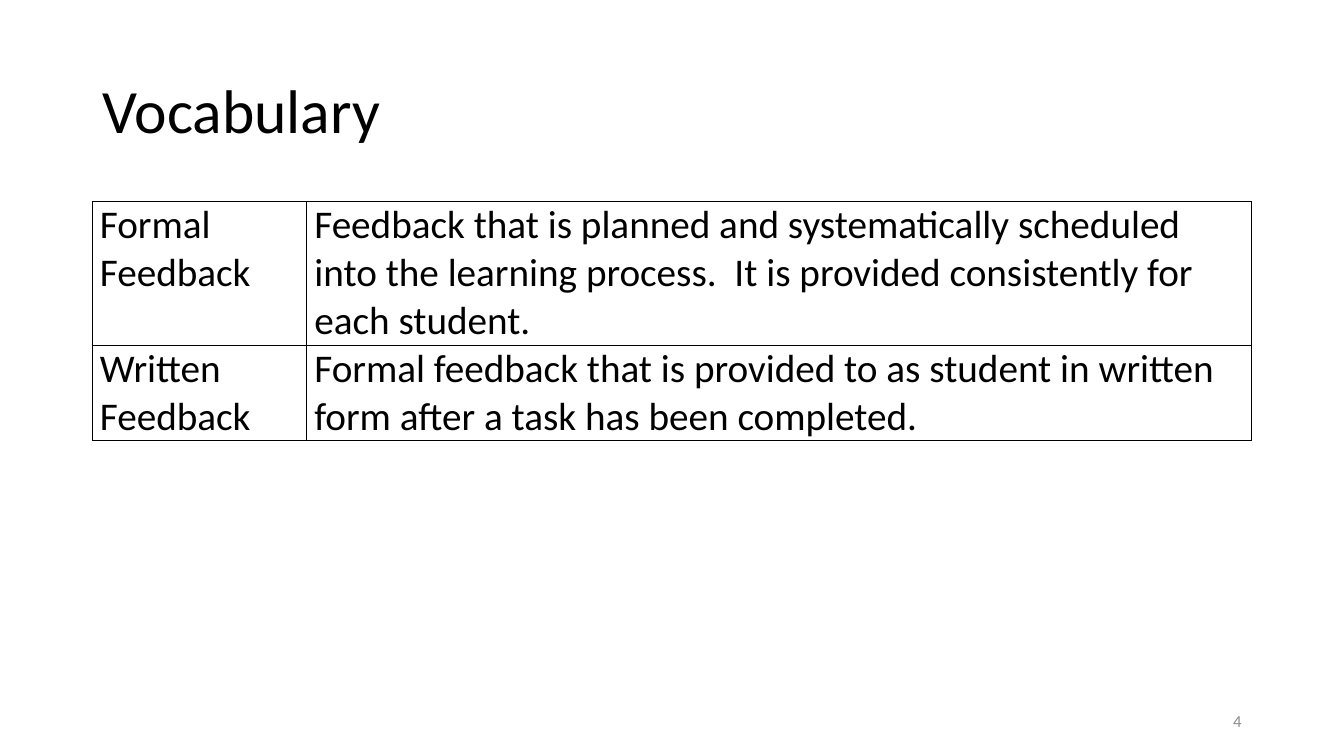
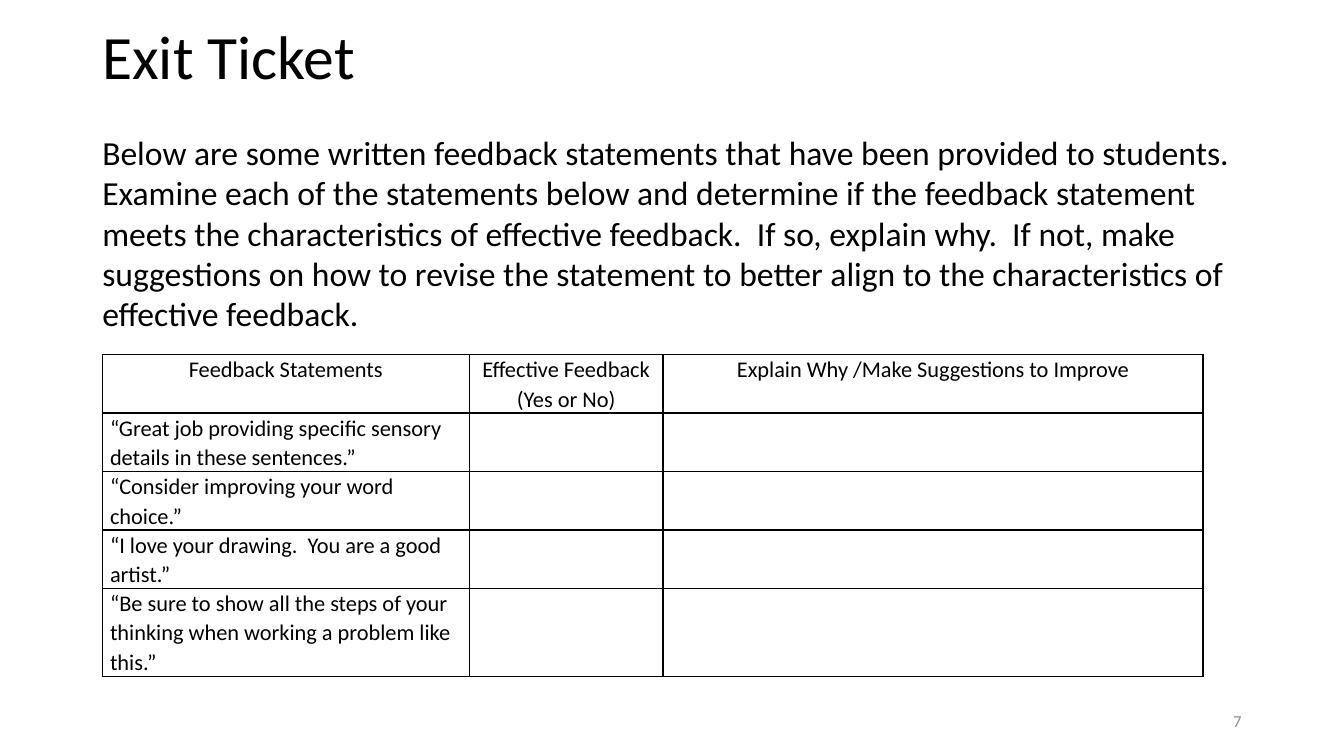
from lxml import etree
from pptx import Presentation
from pptx.dml.color import RGBColor
from pptx.enum.text import MSO_ANCHOR, PP_ALIGN
from pptx.oxml.ns import qn
from pptx.util import Pt

LEFT, CENTER, RIGHT = PP_ALIGN.LEFT, PP_ALIGN.CENTER, PP_ALIGN.RIGHT
MIDDLE = MSO_ANCHOR.MIDDLE
FONT, BLACK, GRAY = "Calibri", "000000", "8C8C8C"
BLANK_LAYOUT = 6
CALIBRI_LINE = 1.2207

TITLE = {"size": 44, "color": BLACK, "align": LEFT, "line_spacing": 0.9}
BODY = {"size": 24, "color": BLACK, "align": LEFT, "line_spacing": 1.0}
NUMBER = {"size": 12, "color": GRAY, "align": RIGHT, "line_spacing": 1.0}
DEFINITION = {"size": 28, "color": BLACK, "align": LEFT, "line_spacing": 1.0}
STATEMENT = {"size": 16, "color": BLACK, "align": LEFT, "line_spacing": 1.07}
HEADING = {**STATEMENT, "align": CENTER}

NUMBER_AREA = (678, 500.5, 216, 28.8)

SLIDES = [
    {
        "title": "Vocabulary",
        "title_area": (66, 28.8, 828, 104.4),
        "number": "4",
        "table": {
            "corner": (66, 144),
            "columns": (153.2, 674.8),
            "row_lines": (3, 2),
            "styles": (DEFINITION, DEFINITION),
            "rows": [
                ("Formal Feedback",
                 "Feedback that is planned and systematically scheduled into the "
                 "learning process.  It is provided consistently for each student."),
                ("Written Feedback",
                 "Formal feedback that is provided to as student in written form "
                 "after a task has been completed."),
            ],
        },
    },
    {
        "title": "Exit Ticket",
        "title_area": (66, 10.6, 828, 63.4),
        "number": "7",
        "body": "Below are some written feedback statements that have been provided "
                "to students.  Examine each of the statements below and determine if "
                "the feedback statement meets the characteristics of effective "
                "feedback.  If so, explain why.  If not, make suggestions on how to "
                "revise the statement to better align to the characteristics of "
                "effective feedback.",
        "body_area": (66, 90, 839.5, 152.6),
        "table": {
            "corner": (73.2, 253.2),
            "columns": (262, 138.5, 385.7),
            "row_lines": (2, 2, 2, 2, 3),
            "styles": (HEADING, STATEMENT),
            "rows": [
                ("Feedback Statements", "Effective Feedback\n(Yes or No)",
                 "Explain Why /Make Suggestions to Improve"),
                ("“Great job providing specific sensory details in these sentences.”", "", ""),
                ("“Consider improving your word choice.”", "", ""),
                ("“I love your drawing.  You are a good artist.”", "", ""),
                ("“Be sure to show all the steps of your thinking when working a "
                 "problem like this.”", "", ""),
            ],
        },
    },
]


def rgb(value):
    """Turn a hex string into a colour."""
    return RGBColor.from_string(value)


def write(frame, text, style):
    """Fill a text frame, one paragraph for each line, in the given style."""
    frame.word_wrap = True
    frame.text = text
    for para in frame.paragraphs:
        para.alignment = style["align"]
        para.line_spacing = style["line_spacing"]
        for name, value in {"name": FONT, "size": Pt(style["size"])}.items():
            setattr(para.font, name, value)
        para.font.color.rgb = rgb(style["color"])


def add_text(page, area, text, style):
    """Add a vertically centred text box."""
    box = page.shapes.add_textbox(*map(Pt, area))
    box.text_frame.vertical_anchor = MIDDLE
    write(box.text_frame, text, style)


def add_borders(cell):
    """Draw a thin black line on each side of a cell."""
    properties = cell._tc.get_or_add_tcPr()
    for position, side in enumerate(("lnL", "lnR", "lnT", "lnB")):
        line = etree.Element(qn(f"a:{side}"), w=str(Pt(1)))
        fill = etree.SubElement(line, qn("a:solidFill"))
        etree.SubElement(fill, qn("a:srgbClr"), val=BLACK)
        properties.insert(position, line)


def add_grid(page, content):
    """Add a bordered table whose rows are as high as their lines of text."""
    first_style, row_style = content["styles"]
    line_height = row_style["size"] * row_style["line_spacing"] * CALIBRI_LINE
    heights = [count * line_height for count in content["row_lines"]]
    widths, rows = content["columns"], content["rows"]
    table = page.shapes.add_table(
        len(rows), len(widths), *map(Pt, (*content["corner"], sum(widths), sum(heights)))
    ).table
    table.first_row = table.horz_banding = False
    for column, width in zip(table.columns, widths):
        column.width = Pt(width)
    margins = {"margin_left": 5.4, "margin_right": 5.4, "margin_top": 0, "margin_bottom": 0}
    for index, texts in enumerate(rows):
        table.rows[index].height = Pt(heights[index])
        for cell, text in zip(table.rows[index].cells, texts):
            for name, value in margins.items():
                setattr(cell, name, Pt(value))
            cell.fill.background()
            add_borders(cell)
            write(cell.text_frame, text, row_style if index else first_style)


def main():
    """Build the deck and save it."""
    deck = Presentation()
    deck.slide_width, deck.slide_height = Pt(960), Pt(540)
    for content in SLIDES:
        page = deck.slides.add_slide(deck.slide_layouts[BLANK_LAYOUT])
        add_text(page, content["title_area"], content["title"], TITLE)
        if "body" in content:
            add_text(page, content["body_area"], content["body"], BODY)
        add_grid(page, content["table"])
        add_text(page, NUMBER_AREA, content["number"], NUMBER)
    deck.save("out.pptx")


if __name__ == "__main__":
    main()
